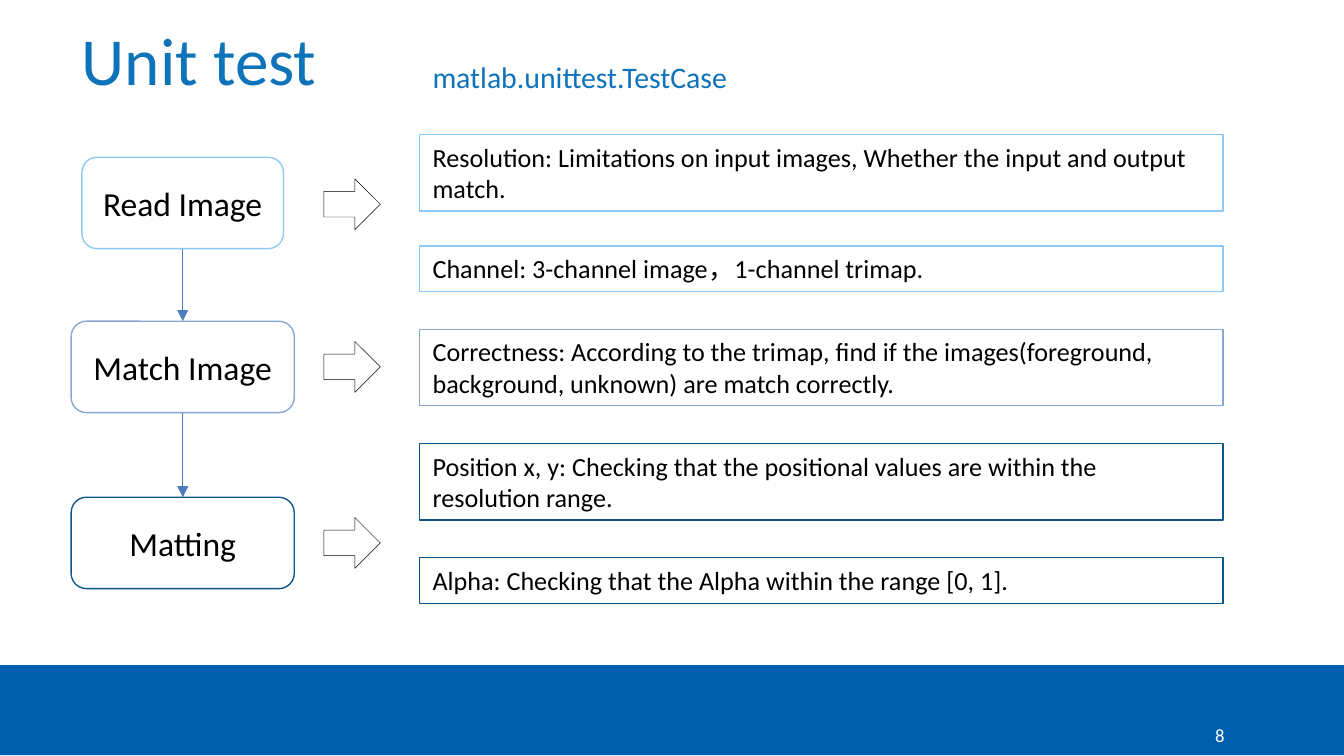
from dataclasses import dataclass
from itertools import pairwise

from lxml import etree
from pptx import Presentation
from pptx.dml.color import RGBColor
from pptx.enum import shapes, text
from pptx.oxml import ns
from pptx.util import Inches, Pt

BLACK = RGBColor(0x00, 0x00, 0x00)
WHITE = RGBColor(0xFF, 0xFF, 0xFF)
BAND_BLUE = RGBColor(0x00, 0x5E, 0xAE)
TITLE_BLUE = RGBColor(0x0E, 0x73, 0xB9)
ARROW_BLUE = RGBColor(0x4B, 0x7E, 0xBC)
LIGHT_BLUE = RGBColor(0x8B, 0xCA, 0xF6)
MID_BLUE = RGBColor(0x87, 0xA7, 0xD5)
DARK_BLUE = RGBColor(0x0B, 0x56, 0x8B)

STEP_CENTER = 1.36
STEP_HEIGHT = 0.68
ARROW_WIDTH = 0.42
ARROW_HEIGHT = 0.38
CHECK_LEFT = 3.12
CHECK_WIDTH = 5.98


@dataclass(frozen=True)
class Check:
    top: float
    height: float
    words: str


@dataclass(frozen=True)
class Step:
    name: str
    top: float
    width: float
    arrow_middle: float
    color: RGBColor
    checks: tuple[Check, ...]


STEPS = (
    Step("Read Image", 1.17, 1.5, 1.52, LIGHT_BLUE, (
        Check(1.0, 0.57, "Resolution: Limitations on input images, "
              "Whether the input and output match."),
        Check(1.83, 0.34, "Channel: 3-channel image，1-channel trimap."),
    )),
    Step("Match Image", 2.39, 1.66, 2.73, MID_BLUE, (
        Check(2.45, 0.57, "Correctness: According to the trimap, find if the "
              "images(foreground, background, unknown) are match correctly."),
    )),
    Step("Matting", 3.7, 1.66, 4.04, DARK_BLUE, (
        Check(3.3, 0.57, "Position x, y: Checking that the positional values "
              "are within the resolution range."),
        Check(4.15, 0.34, "Alpha: Checking that the Alpha within the range [0, 1]."),
    )),
)


def write(shape, words: str, size: float, color: RGBColor,
          align=text.PP_ALIGN.LEFT, anchor=text.MSO_ANCHOR.TOP) -> None:
    frame = shape.text_frame
    frame.word_wrap = True
    frame.vertical_anchor = anchor
    paragraph = frame.paragraphs[0]
    paragraph.text = words
    paragraph.alignment = align
    paragraph.font.name = "Calibri"
    paragraph.font.size = Pt(size)
    paragraph.font.color.rgb = color


def add_label(slide, left: float, top: float, width: float, height: float,
              words: str, size: float, color: RGBColor, inset: bool = False,
              align=text.PP_ALIGN.LEFT) -> None:
    label = slide.shapes.add_textbox(
        Inches(left), Inches(top), Inches(width), Inches(height))
    anchor = text.MSO_ANCHOR.TOP if inset else text.MSO_ANCHOR.BOTTOM
    write(label, words, size, color, align, anchor)
    if not inset:
        frame = label.text_frame
        frame.margin_left = frame.margin_right = 0
        frame.margin_top = frame.margin_bottom = 0


def add_outline(slide, kind, left: float, top: float, width: float,
                height: float, color: RGBColor, weight: float = 0.75):
    shape = slide.shapes.add_shape(
        kind, Inches(left), Inches(top), Inches(width), Inches(height))
    shape.shadow.inherit = False
    shape.fill.background()
    shape.line.color.rgb = color
    shape.line.width = Pt(weight)
    return shape


def add_step(slide, step: Step):
    box = add_outline(slide, shapes.MSO_SHAPE.ROUNDED_RECTANGLE,
                      STEP_CENTER - step.width / 2, step.top,
                      step.width, STEP_HEIGHT, step.color)
    box.fill.solid()
    box.fill.fore_color.rgb = WHITE
    write(box, step.name, 18, BLACK, text.PP_ALIGN.CENTER, text.MSO_ANCHOR.MIDDLE)
    add_outline(slide, shapes.MSO_SHAPE.RIGHT_ARROW, 2.41,
                step.arrow_middle - ARROW_HEIGHT / 2,
                ARROW_WIDTH, ARROW_HEIGHT, BLACK, 0.25)
    for check in step.checks:
        note = add_outline(slide, shapes.MSO_SHAPE.RECTANGLE, CHECK_LEFT,
                           check.top, CHECK_WIDTH, check.height, step.color)
        write(note, check.words, 14, BLACK)
        note.text_frame.auto_size = text.MSO_AUTO_SIZE.SHAPE_TO_FIT_TEXT
    return box


def connect(slide, upper, lower) -> None:
    connector = slide.shapes.add_connector(shapes.MSO_CONNECTOR.STRAIGHT, 0, 0, 0, 0)
    connector.begin_connect(upper, 2)
    connector.end_connect(lower, 0)
    connector.line.color.rgb = ARROW_BLUE
    connector.line.width = Pt(0.75)
    line = connector.line._get_or_add_ln()
    etree.SubElement(line, ns.qn("a:tailEnd"), type="triangle")
    etree.SubElement(connector._element.spPr, ns.qn("a:effectLst"))


def main() -> None:
    presentation = Presentation()
    presentation.slide_width = Inches(10)
    presentation.slide_height = Inches(10 * 9 / 16)
    slide = presentation.slides.add_slide(presentation.slide_layouts[6])

    band = add_outline(slide, shapes.MSO_SHAPE.RECTANGLE, 0, 4.95, 10, 0.67, BAND_BLUE)
    band.fill.solid()
    band.fill.fore_color.rgb = BAND_BLUE
    band.line.fill.background()

    add_label(slide, 0.61, 0.28, 8.2, 0.46, "Unit test", 36, TITLE_BLUE)
    add_label(slide, CHECK_LEFT, 0.39, 5, 0.37, "matlab.unittest.TestCase",
              16, TITLE_BLUE, inset=True)
    add_label(slide, 8.79, 5.34, 0.32, 0.21, "8", 10, WHITE,
              align=text.PP_ALIGN.RIGHT)

    boxes = [add_step(slide, step) for step in STEPS]
    for upper, lower in pairwise(boxes):
        connect(slide, upper, lower)

    presentation.save("out.pptx")


if __name__ == "__main__":
    main()
